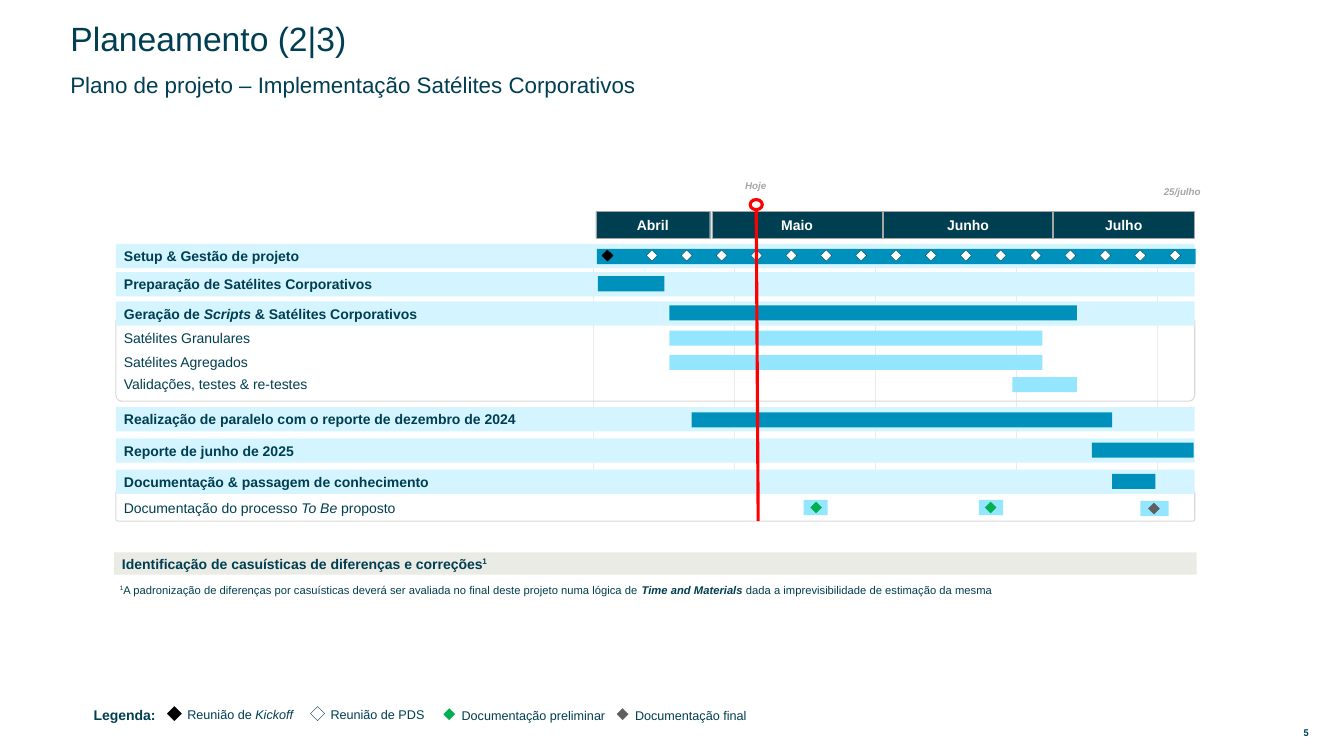
import pptx
import pptx.util
import pptx.dml.color
import pptx.enum.shapes
import pptx.enum.text
import pptx.oxml.ns
import lxml.etree

Inches, Pt = pptx.util.Inches, pptx.util.Pt
RGBColor = pptx.dml.color.RGBColor
MSO = pptx.enum.shapes.MSO_SHAPE
MIDDLE = pptx.enum.text.MSO_ANCHOR.MIDDLE
TOP = pptx.enum.text.MSO_ANCHOR.TOP
LEFT = pptx.enum.text.PP_ALIGN.LEFT
CENTER = pptx.enum.text.PP_ALIGN.CENTER

NAVY = RGBColor(0x00, 0x3E, 0x51)
BLUE = RGBColor(0x00, 0x90, 0xBC)
SKY = RGBColor(0x94, 0xE6, 0xFF)
PALE = RGBColor(0xD4, 0xF5, 0xFF)
SAND = RGBColor(0xEB, 0xEB, 0xE6)
GRID = RGBColor(0xEB, 0xEB, 0xEB)
FRAME = RGBColor(0xD9, 0xD9, 0xD9)
GREY = RGBColor(0xA6, 0xA6, 0xA6)
DARK_GREY = RGBColor(0x5F, 0x5F, 0x5F)
GREEN = RGBColor(0x00, 0xB0, 0x50)
RED = RGBColor(0xFF, 0x00, 0x00)
BLACK = RGBColor(0x00, 0x00, 0x00)
WHITE = RGBColor(0xFF, 0xFF, 0xFF)

prs = pptx.Presentation()
prs.slide_width, prs.slide_height = Inches(13.33), Inches(7.5)
s = prs.slides.add_slide(prs.slide_layouts[6])


def add_box(kind, x, y, w, h, fill=None, line=None, weight=0.25):
    """Add a preset shape, or a text box when kind is None."""
    at = Inches(x), Inches(y), Inches(w), Inches(h)
    if kind is None:
        return s.shapes.add_textbox(*at)
    sp = s.shapes.add_shape(kind, *at)
    sp.shadow.inherit = False
    if fill is None:
        sp.fill.background()
    else:
        sp.fill.solid()
        sp.fill.fore_color.rgb = fill
    if line is None:
        sp.line.fill.background()
    else:
        sp.line.color.rgb = line
        sp.line.width = Pt(weight)
    return sp


def write(sp, runs, size, color=NAVY, bold=None, italic=None, align=LEFT, anchor=MIDDLE,
          inset=(0.1, 0.05), indent=0, spacing=None, font="Arial"):
    """Write one paragraph; runs are (text, style), style made of b, i and ^."""
    tf = sp.text_frame
    tf.word_wrap = True
    tf.vertical_anchor = anchor
    tf.margin_left = tf.margin_right = Inches(inset[0])
    tf.margin_top = tf.margin_bottom = Inches(inset[1])
    p = tf.paragraphs[0]
    p.alignment = align
    if spacing:
        p.line_spacing = spacing
    if indent:
        pPr = p._p.get_or_add_pPr()
        pPr.set("marL", str(Inches(indent)))
        pPr.set("indent", "0")
    p.font.name, p.font.size = font, Pt(size)
    p.font.color.rgb = color
    p.font.bold, p.font.italic = bold, italic
    for text, style in [(runs, "")] if isinstance(runs, str) else runs:
        r = p.add_run()
        r.text = text
        if "b" in style:
            r.font.bold = True
        if "i" in style:
            r.font.italic = True
        if "^" in style:
            r._r.get_or_add_rPr().set("baseline", "30000")


# Title, subtitle and page number
write(add_box(None, 0.6, 0.27, 7.95, 0.26), "Planeamento (2|3)", 24, spacing=0.9)
write(add_box(None, 0.6, 0.73, 7.66, 0.26),
      "Plano de projeto – Implementação Satélites Corporativos", 16, spacing=0.9)
write(add_box(None, 12.73, 7.19, 0.45, 0.16), "5", 6.8, bold=True, align=CENTER,
      inset=(0.06, 0.03), font="Roboto")

# Vertical grid lines, and the today line kept for the end
lines = [(5.88 + 1.4 * i, 2.42, 5.88 + 1.4 * i, 4.9, GRID, 0.25) for i in range(5)]
today = (7.5, 2.02, 7.52, 5.17, RED, 2.25)

# Frames around the sub-task groups
frames = [(3.18, 0.8), (4.88, 0.29)]

# Task bands
bands = [
    (2.42, "Setup & Gestão de projeto"),
    (2.7, "Preparação de Satélites Corporativos"),
    (2.99, [("Geração de ", ""), ("Scripts", "i"), (" & Satélites Corporativos", "")]),
    (4.04, "Realização de paralelo com o reporte de dezembro de 2024"),
    (4.35, "Reporte de junho de 2025"),
    (4.66, "Documentação & passagem de conhecimento"),
]

for x1, y1, x2, y2, color, weight in lines + [today]:
    if color == RED:
        # Everything that lies under the today line
        for y, h in frames:
            sp = add_box(MSO.ROUND_2_SAME_RECTANGLE, 1.15, y, 10.7, h, line=FRAME, weight=0.75)
            sp.adjustments[0], sp.adjustments[1] = 0, 0.073
        for y, runs in bands:
            write(add_box(MSO.RECTANGLE, 1.15, y, 10.7, 0.24, PALE), runs, 10, bold=True,
                  inset=(0, 0.11), indent=0.08)
        # Month headers
        for month, x, w in [("Abril", 5.91, 1.13), ("Maio", 7.06, 1.69),
                            ("Junho", 8.76, 1.68), ("Julho", 10.45, 1.39)]:
            write(add_box(MSO.RECTANGLE, x, 2.1, w, 0.26, NAVY, GREY), month, 10, WHITE,
                  bold=True, align=CENTER, inset=(0, 0.05))
        # Duration bars
        for x, y, w, fill in [
            (5.92, 2.47, 5.94, BLUE), (5.93, 2.74, 0.66, BLUE), (6.64, 3.03, 4.04, BLUE),
            (6.64, 3.28, 3.7, SKY), (6.64, 3.52, 3.7, SKY), (10.04, 3.74, 0.64, SKY),
            (6.86, 4.09, 4.17, BLUE), (10.83, 4.39, 1.01, BLUE), (11.03, 4.7, 0.43, BLUE),
            (7.97, 4.96, 0.24, SKY), (9.71, 4.96, 0.24, SKY), (11.31, 4.97, 0.28, SKY),
        ]:
            add_box(MSO.RECTANGLE, x, y, w, 0.15, fill)
        # Milestones: kickoff, regular meetings, documents
        milestones = [(5.97, 2.48, BLACK, BLACK)]
        milestones += [(6.41 + 0.346 * i, 2.48, WHITE, NAVY) for i in range(16)]
        milestones += [(8.04, 4.98, GREEN, GREEN), (9.77, 4.98, GREEN, GREEN),
                       (11.39, 4.99, DARK_GREY, DARK_GREY)]
        for x, y, fill, line in milestones:
            add_box(MSO.DIAMOND, x, y, 0.11, 0.11, fill, line)
    c = s.shapes.add_connector(pptx.enum.shapes.MSO_CONNECTOR.STRAIGHT,
                               Inches(x1), Inches(y1), Inches(x2), Inches(y2))
    c.line.color.rgb = color
    c.line.width = Pt(weight)
    lxml.etree.SubElement(c._element.spPr, pptx.oxml.ns.qn("a:effectLst"))
add_box(MSO.OVAL, 7.44, 1.98, 0.12, 0.1, WHITE, RED, 2.25)

# Date labels
for text, x, y in [("Hoje", 7.14, 1.73), ("25/julho", 11.37, 1.79)]:
    write(add_box(None, x, y, 0.71, 0.24), text, 7, GREY, bold=True, italic=True,
          align=CENTER, anchor=TOP, inset=(0, 0.05))

# Sub-task labels
for y, runs in [
    (3.24, "Satélites Granulares"),
    (3.48, "Satélites Agregados"),
    (3.7, "Validações, testes & re-testes"),
    (4.93, [("Documentação do processo ", ""), ("To Be", "i"), (" proposto", "")]),
]:
    write(add_box(None, 1.13, y, 4.23, 0.22), runs, 10)

# Closing band and footnote
write(add_box(MSO.RECTANGLE, 1.13, 5.48, 10.74, 0.22, SAND),
      [("Identificação de casuísticas de diferenças e correções", ""), ("1", "^")], 10,
      bold=True, inset=(0, 0.11), indent=0.08)
write(add_box(None, 1.09, 5.72, 10.81, 0.24), [
    ("1", "^"),
    ("A padronização de diferenças por casuísticas deverá ser avaliada no final deste projeto "
     "numa lógica de ", ""),
    ("Time and Materials ", "bi"),
    ("dada a imprevisibilidade de estimação da mesma", ""),
], 8, anchor=TOP, spacing=1.1)

# Legend
write(add_box(None, 0.83, 6.94, 0.83, 0.29), "Legenda:", 10, bold=True, anchor=TOP, spacing=1.1)
for x, y, size, fill, line, text_x, text_y, runs in [
    (1.66, 7.01, 0.14, BLACK, BLACK, 1.76, 6.95, [("Reunião de ", ""), ("Kickoff", "i")]),
    (3.08, 7.01, 0.14, WHITE, NAVY, 3.18, 6.95, "Reunião de PDS"),
    (4.4, 7.03, 0.11, GREEN, GREEN, 4.48, 6.96, "Documentação preliminar"),
    (6.12, 7.03, 0.11, DARK_GREY, DARK_GREY, 6.2, 6.96, "Documentação final"),
]:
    add_box(MSO.DIAMOND, x, y, size, size, fill, line)
    write(add_box(None, text_x, text_y, 1.69, 0.27), runs, 9, anchor=TOP, spacing=1.1)

prs.save("out.pptx")
